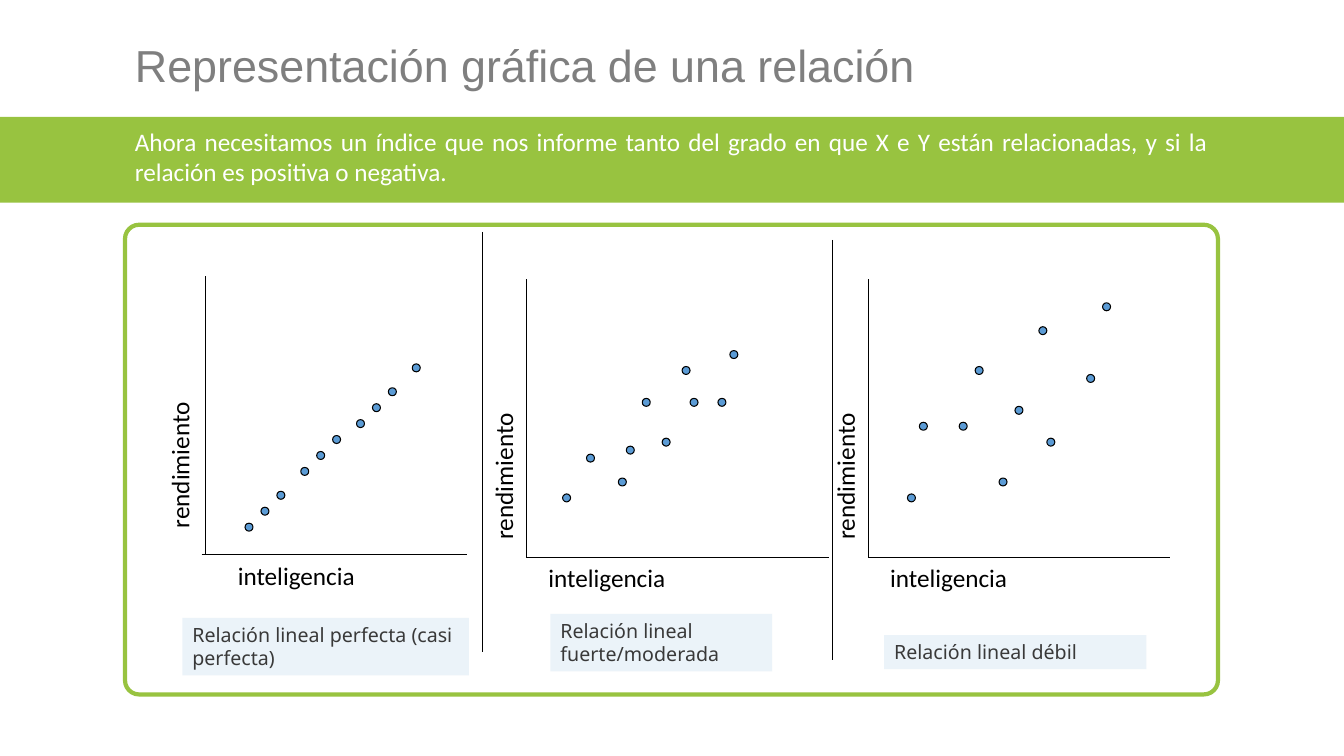
"""Build a slide with three scatter sketches of linear relations."""
import pptx
import pptx.util
import pptx.dml.color
import pptx.enum.shapes
import pptx.enum.text
import pptx.oxml.ns
import lxml.etree

theme = {
    "green": "98C340", "white": "FFFFFF", "black": "000000", "gray": "7F7F7F",
    "dark": "393939", "dot": "5B9BD5", "pale": "DDEAF6",
    "head": 32, "body": 18, "small": 14, "thin": 0.75, "thick": 3,
}
shape = pptx.enum.shapes.MSO_SHAPE
align = pptx.enum.text.PP_ALIGN
anchor = pptx.enum.text.MSO_ANCHOR
color = pptx.dml.color.RGBColor.from_string

deck = pptx.Presentation()
deck.slide_width = pptx.util.Inches(13.33)
deck.slide_height = pptx.util.Inches(7.5)
slide = deck.slides.add_slide(deck.slide_layouts[6])
items = slide.shapes
cell = deck.slide_height / 75
wide = deck.slide_width / cell


def put(kind, col, row, cols, rows, fill=None, line=None, width=0):
    """Place a shape, or a text box if kind is None, on the grid."""
    area = [round(n * cell) for n in (col, row, cols, rows)]
    if kind is None:
        return items.add_textbox(*area)
    item = items.add_shape(kind, *area)
    item.shadow.inherit = False
    item.fill.solid()
    item.fill.fore_color.rgb = color(theme[fill])
    if line:
        item.line.color.rgb = color(theme[line])
        item.line.width = pptx.util.Pt(width)
    else:
        item.line.fill.background()
    return item


def write(item, text, size, tint, font="Calibri", side=align.LEFT):
    """Fill an item with one formatted paragraph."""
    frame = item.text_frame
    frame.word_wrap = True
    frame.vertical_anchor = anchor.TOP
    frame.text = text
    para = frame.paragraphs[0]
    para.alignment = side
    run = para.runs[0].font
    run.size = pptx.util.Pt(theme[size])
    run.name = font
    run.color.rgb = color(theme[tint])
    return para


left, span = 12.4, 108.4
panel = put(shape.ROUNDED_RECTANGLE, left, 22.3, span, 46.6,
            "white", "green", theme["thick"])
panel.adjustments[0] = 0.03

title = put(None, left, 2.7, span, 8)
para = write(title, "Representación gráfica de una relación",
             "head", "gray", "Arial", align.JUSTIFY)
para.line_spacing = 0.9
title.text_frame.vertical_anchor = anchor.MIDDLE

put(shape.RECTANGLE, 0, 11.6, wide, 8.5, "green")
write(put(None, left, 12, span, 7.1),
      "Ahora necesitamos un índice que nos informe tanto del grado en que "
      "X e Y están relacionadas, y si la relación es positiva o negativa.",
      "body", "white", side=align.JUSTIFY)

plots = [
    {"axis": (20.4, 55), "start": 20, "end": 46.3, "base": (24.3, 51.9),
     "xname": (22.6, 55.1), "yname": (4.4, 38),
     "note": ("Relación lineal perfecta (casi perfecta)", 18.1, 61.3, 28.4, 5.7),
     "dots": [(0, 0), (2, 2), (4, 4), (7, 7), (9, 9), (11, 11), (14, 13),
              (16, 15), (18, 17), (21, 20)]},
    {"axis": (52.2, 55.3), "start": 52.2, "end": 82.2, "base": (55.8, 49),
     "xname": (53.4, 55.3), "yname": (36.5, 39.1),
     "note": ("Relación lineal fuerte/moderada", 54.6, 60.9, 22, 5.7),
     "dots": [(0, 0), (3, 5), (7, 2), (8, 6), (10, 12), (12.5, 7), (15, 16),
              (16, 12), (19.5, 12), (21, 18)]},
    {"axis": (86.1, 55.3), "start": 86.1, "end": 116, "base": (90, 49),
     "xname": (87.3, 55.3), "yname": (70.4, 39.1),
     "note": ("Relación lineal débil", 87.7, 63, 26, 3.4),
     "dots": [(0, 0), (1.5, 9), (6.5, 9), (8.5, 16), (11.5, 2), (13.5, 11),
              (16.5, 21), (17.5, 7), (22.5, 15), (24.5, 24)]},
]
lines = [(47.9, 23, 47.9, 64.7), (82.6, 23.8, 82.6, 65.5)]
step = 0.79

for plot in plots:
    col, row = plot["axis"]
    lines += [(col, row - 27.6, col, row), (plot["start"], row, plot["end"], row)]
    for right, up in plot["dots"]:
        put(shape.OVAL, plot["base"][0] + right * step,
            plot["base"][1] - up * step, step, step,
            "dot", "black", theme["thin"])
    write(put(None, *plot["xname"], 25.2, 4), "inteligencia", "body", "black")
    label = put(None, *plot["yname"], 26.8, 4)
    label.rotation = 270
    write(label, "rendimiento", "body", "black")
    text, *area = plot["note"]
    note = put(shape.RECTANGLE, *area, "pale")
    tone = note.fill._xPr.find(".//" + pptx.oxml.ns.qn("a:srgbClr"))
    lxml.etree.SubElement(tone, pptx.oxml.ns.qn("a:alpha")).set("val", "56000")
    write(note, text, "small", "dark", "Noto Sans")

for ends in lines:
    line = items.add_connector(pptx.enum.shapes.MSO_CONNECTOR.STRAIGHT,
                               *[round(n * cell) for n in ends])
    line.line.color.rgb = color(theme["black"])
    line.line.width = pptx.util.Pt(theme["thin"])
    lxml.etree.SubElement(line._element.spPr, pptx.oxml.ns.qn("a:effectLst"))

deck.save("out.pptx")
